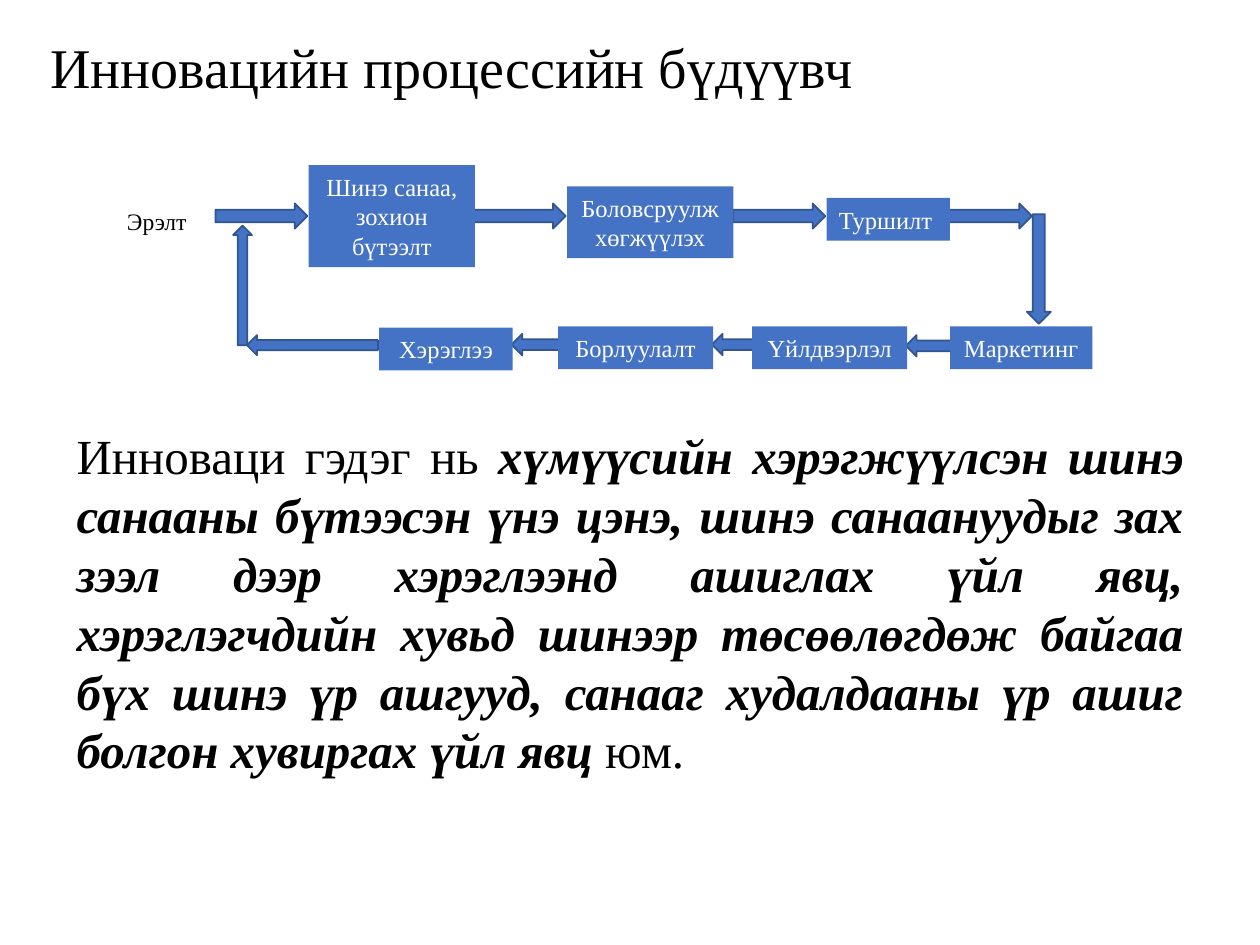
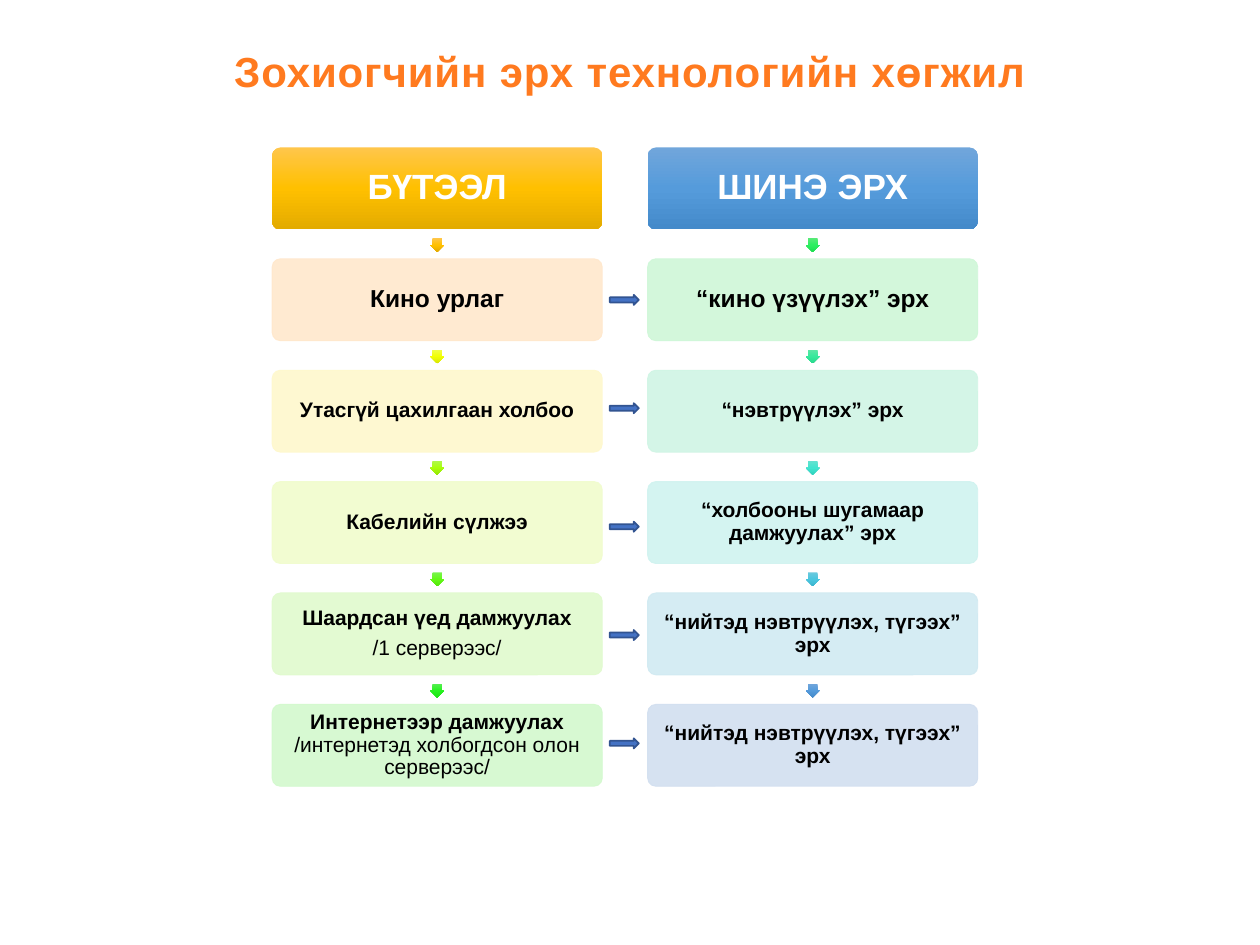
"""Build two slides: an innovation process loop and a copyright technology table of steps."""
from copy import deepcopy
from dataclasses import dataclass
from typing import NamedTuple

from pptx import Presentation
from pptx.dml.color import RGBColor
from pptx.enum import shapes, text
from pptx.oxml import ns, xmlchemy
from pptx.util import Emu, Pt

COLOURS = {
    "ink": "000000", "paper": "FFFFFF", "blue": "4472C4", "edge": "325491", "orange": "FF7A1F",
}
WORK_RAMPS = ["FFC64B FFC000 E3AB00", "F1FD4C F1FF05 D8E503", "AEF84D A8FF0B 96E507",
              "7AF350 63F916 56E50C", "57EE54 29F321 1BE313"]
RIGHT_RAMPS = ["59EA78 2CEE60 1DDD50", "5EE6A6 37E99C 27D88C", "64E2D0 41E4CF 31D3BE",
               "6BC9DE 4BC6DF 3BB5CE", "71A6DB 559BDB 448ACA"]
COLOURS |= {f"work_arrow_{i}": ramp for i, ramp in enumerate(WORK_RAMPS)}
COLOURS |= {f"right_arrow_{i}": ramp for i, ramp in enumerate(RIGHT_RAMPS)}
COLOURS |= {f"work_step_{i}": tint for i, tint in enumerate(
    ["FFE8CC", "FEF8CD", "F1FCCD", "E1FACE", "D3F9CE"])}
COLOURS |= {f"right_step_{i}": tint for i, tint in enumerate(
    ["CFF7D8", "D0F5E5", "D0F3F0", "D1EAF2", "D2DFF0"])}
COLOURS |= {"work_head": WORK_RAMPS[0], "right_head": RIGHT_RAMPS[-1]}

SERIF, SANS = "Times New Roman", "Arial"
GRID_COLUMNS, GRID_ROWS = 100, 75
SLIDE_WIDTH, SLIDE_HEIGHT = Emu(9144000), Emu(6858000)
KINDS = shapes.MSO_SHAPE
ALIGN = text.PP_ALIGN
ANCHOR = text.MSO_ANCHOR


class Cell(NamedTuple):
    """A rectangle in grid columns and rows."""
    column: float
    row: float
    columns: float
    rows: float

    def box(self) -> tuple[Emu, Emu, Emu, Emu]:
        """Return left, top, width and height as slide lengths."""
        column, row = SLIDE_WIDTH / GRID_COLUMNS, SLIDE_HEIGHT / GRID_ROWS
        return (Emu(round(self.column * column)), Emu(round(self.row * row)),
                Emu(round(self.columns * column)), Emu(round(self.rows * row)))


class Run(NamedTuple):
    """A piece of text with its own emphasis."""
    words: str
    bold: bool = False
    italic: bool = False


@dataclass(frozen=True)
class Style:
    """How a block of text is set."""
    font: str
    size: float
    colour: str = "ink"
    align: ALIGN = ALIGN.CENTER
    anchor: ANCHOR = ANCHOR.MIDDLE
    spacing: float = 1.0
    after: float = 0
    inset: float | None = None
    tracking: int = 0


@dataclass(frozen=True)
class Stage:
    """A labelled box of the process loop."""
    label: str
    cell: Cell
    align: ALIGN = ALIGN.CENTER


@dataclass(frozen=True)
class Ladder:
    """A column of steps under a heading."""
    name: str
    column: float
    heading: str
    steps: list[list[list[Run]]]


PROCESS_TITLE = Style(SERIF, 32, align=ALIGN.LEFT, anchor=ANCHOR.BOTTOM, spacing=0.9)
RIGHTS_TITLE = Style(SANS, 24, "orange", tracking=50)
DEMAND = Style(SERIF, 13.5, align=ALIGN.LEFT)
DEFINITION = Style(SERIF, 28, align=ALIGN.JUSTIFY, anchor=ANCHOR.TOP)

STAGES = [
    Stage("Шинэ санаа, зохион бүтээлт", Cell(24.5, 13.1, 13.2, 8.1)),
    Stage("Боловсруулж хөгжүүлэх", Cell(45, 14.8, 13.2, 5.7)),
    Stage("Туршилт", Cell(65.6, 15.7, 9.8, 3.4), ALIGN.LEFT),
    Stage("Маркетинг", Cell(75.4, 25.9, 11.3, 3.4)),
    Stage("Үйлдвэрлэл", Cell(59.7, 25.9, 12.3, 3.4)),
    Stage("Борлуулалт", Cell(44.3, 25.9, 12.3, 3.4)),
    Stage("Хэрэглээ", Cell(30.1, 26, 10.6, 3.4)),
]
FLOW = [
    *((KINDS.RIGHT_ARROW, Cell(column, 16.15, 7.3, 2)) for column in (17.1, 37.6, 58.2, 74.6)),
    (KINDS.DOWN_ARROW, Cell(81.5, 17, 1.9, 8.7)),
    *((KINDS.LEFT_ARROW, Cell(column, row, 5.4, 1.7))
      for column, row in ((71.9, 26.6), (56.5, 26.5), (40.6, 26.5))),
    (KINDS.LEFT_ARROW, Cell(19.6, 26.6, 10.4, 1.6)),
    (KINDS.UP_ARROW, Cell(18.5, 17.9, 1.5, 9.5)),
]
DEFINITION_RUNS = [
    Run("Инноваци гэдэг нь "),
    Run("хүмүүсийн хэрэгжүүлсэн шинэ санааны бүтээсэн үнэ цэнэ, шинэ санаануудыг зах зээл дээр "
        "хэрэглээнд ашиглах үйл явц, хэрэглэгчдийн хувьд шинээр төсөөлөгдөж байгаа бүх шинэ үр "
        "ашгууд, санааг худалдааны үр ашиг болгон хувиргах үйл явц ", True, True),
    Run("юм."),
]

LADDERS = [
    Ladder("work", 21.6, "БҮТЭЭЛ", [
        [[Run("Кино урлаг", True)]],
        [[Run("Утасгүй цахилгаан холбоо", True)]],
        [[Run("Кабелийн сүлжээ", True)]],
        [[Run("Шаардсан үед дамжуулах", True)], [Run("/1 серверээс/")]],
        [[Run("Интернетээр дамжуулах ", True), Run("/интернетэд холбогдсон олон серверээс/")]],
    ]),
    Ladder("right", 51.4, "ШИНЭ ЭРХ", [
        [[Run(words, True)]] for words in (
            "“кино үзүүлэх” эрх", "“нэвтрүүлэх” эрх", "“холбооны шугамаар дамжуулах” эрх",
            "“нийтэд нэвтрүүлэх, түгээх” эрх", "“нийтэд нэвтрүүлэх, түгээх” эрх")
    ]),
]
LADDER_TOP, STEP_PITCH, STEP_COLUMNS, STEP_ROWS = 11.7, 8.84, 26.2, 6.5
ARROW_SIDE, ARROW_OFFSET = 1.1, 7.2
LINK_ROWS = (23.4, 32, 41.4, 50, 58.6)


def rgb(name: str) -> RGBColor:
    """Look up a colour by name."""
    return RGBColor.from_string(COLOURS[name])


def write(shape, paragraphs: list[list[Run]], style: Style) -> None:
    """Fill a shape with paragraphs, run by run."""
    frame = shape.text_frame
    frame.word_wrap = True
    frame.auto_size = text.MSO_AUTO_SIZE.NONE
    frame.vertical_anchor = style.anchor
    if style.inset is not None:
        frame.margin_left = frame.margin_right = Pt(style.inset)
        frame.margin_top = frame.margin_bottom = Pt(style.inset)
    for index, runs in enumerate(paragraphs):
        paragraph = frame.add_paragraph() if index else frame.paragraphs[0]
        paragraph.alignment = style.align
        paragraph.line_spacing = style.spacing
        paragraph.space_before = Pt(0)
        paragraph.space_after = Pt(style.after)
        for part in runs:
            run = paragraph.add_run()
            run.text = part.words
            font = run.font
            font.name, font.size = style.font, Pt(style.size)
            font.bold, font.italic = part.bold, part.italic
            font.color.rgb = rgb(style.colour)
            if style.tracking:
                run._r.get_or_add_rPr().set("spc", str(style.tracking))


def add_titled_slide(presentation, cell: Cell, title: Run, style: Style):
    """Add a title-only slide with its title placed and set."""
    slide = presentation.slides.add_slide(presentation.slide_layouts[5])
    placeholder = slide.shapes.title
    placeholder.left, placeholder.top, placeholder.width, placeholder.height = cell.box()
    write(placeholder, [[title]], style)
    return slide


def add_text(slide, cell: Cell, runs: list[Run], style: Style) -> None:
    """Add a wrapped text box."""
    write(slide.shapes.add_textbox(*cell.box()), [runs], style)


def add_block(slide, kind: KINDS, cell: Cell, colour: str):
    """Add a flat or three-stop gradient shape without line or shadow."""
    shape = slide.shapes.add_shape(kind, *cell.box())
    shape.shadow.inherit = False
    shape.line.fill.background()
    ramp = COLOURS[colour].split()
    if len(ramp) == 1:
        shape.fill.solid()
        shape.fill.fore_color.rgb = rgb(colour)
        return shape
    shape.fill.gradient()
    shape.fill.gradient_angle = 270
    stops = shape._element.spPr.find(ns.qn("a:gradFill")).find(ns.qn("a:gsLst"))
    stops.append(deepcopy(stops[0]))
    for index, (stop, value) in enumerate(zip(shape.fill.gradient_stops, ramp)):
        stop.position = index / 2
        stop.color.rgb = RGBColor.from_string(value)
    return shape


def add_flow_arrow(slide, kind: KINDS, cell: Cell) -> None:
    """Add an outlined blue arrow."""
    arrow = add_block(slide, kind, cell, "blue")
    arrow.line.color.rgb = rgb("edge")
    arrow.line.width = Pt(1)


def soften(shape, colour: str) -> None:
    """Give a step a thin line of its own tint and make both slightly transparent."""
    shape.line.color.rgb = rgb(colour)
    shape.line.width = Pt(0.5)
    for tint in shape._element.spPr.iter(ns.qn("a:srgbClr")):
        alpha = xmlchemy.OxmlElement("a:alpha")
        alpha.set("val", "90000")
        tint.append(alpha)


def add_ladder(slide, ladder: Ladder) -> None:
    """Draw a heading and its steps with arrows between them."""
    rows = [[[Run(ladder.heading, True)]], *ladder.steps]
    for index, paragraphs in enumerate(rows):
        top = LADDER_TOP + index * STEP_PITCH
        colour = f"{ladder.name}_step_{index - 1}" if index else f"{ladder.name}_head"
        step = add_block(slide, KINDS.ROUNDED_RECTANGLE,
                         Cell(ladder.column, top, STEP_COLUMNS, STEP_ROWS), colour)
        step.adjustments[0] = 0.1
        if index:
            soften(step, colour)
        size = {0: 20, 1: 14}.get(index, 12)
        write(step, paragraphs, Style(SANS, size, "ink" if index else "paper",
                                      spacing=0.9, after=0.35 * size, inset=3))
        if index < len(rows) - 1:
            middle = ladder.column + (STEP_COLUMNS - ARROW_SIDE) / 2
            arrow = add_block(slide, KINDS.DOWN_ARROW,
                              Cell(middle, top + ARROW_OFFSET, ARROW_SIDE, ARROW_SIDE),
                              f"{ladder.name}_arrow_{index}")
            arrow.adjustments[0] = 0.67


def build_process(presentation) -> None:
    """Build the innovation process slide."""
    slide = add_titled_slide(presentation, Cell(3, 2.8, 82.5, 5.7),
                             Run("Инновацийн процессийн бүдүүвч"),
                             PROCESS_TITLE)
    add_text(slide, Cell(9.1, 15.9, 14, 3.3), [Run("Эрэлт")], DEMAND)
    for kind, cell in FLOW:
        add_flow_arrow(slide, kind, cell)
    for stage in STAGES:
        box = add_block(slide, KINDS.RECTANGLE, stage.cell, "blue")
        write(box, [[Run(stage.label)]], Style(SERIF, 14, "paper", stage.align))
    add_text(slide, Cell(5.1, 33.3, 89.8, 29.3), DEFINITION_RUNS, DEFINITION)


def build_rights(presentation) -> None:
    """Build the copyright technology slide."""
    slide = add_titled_slide(presentation, Cell(17.2, 1.6, 65.6, 8),
                             Run("Зохиогчийн эрх технологийн хөгжил", True), RIGHTS_TITLE)
    for ladder in LADDERS:
        add_ladder(slide, ladder)
    for row in LINK_ROWS:
        add_flow_arrow(slide, KINDS.RIGHT_ARROW, Cell(48.4, row, 2.3, 0.8))


def main() -> None:
    """Build and save the presentation."""
    presentation = Presentation()
    presentation.slide_width, presentation.slide_height = SLIDE_WIDTH, SLIDE_HEIGHT
    build_process(presentation)
    build_rights(presentation)
    presentation.save("out.pptx")


if __name__ == "__main__":
    main()
